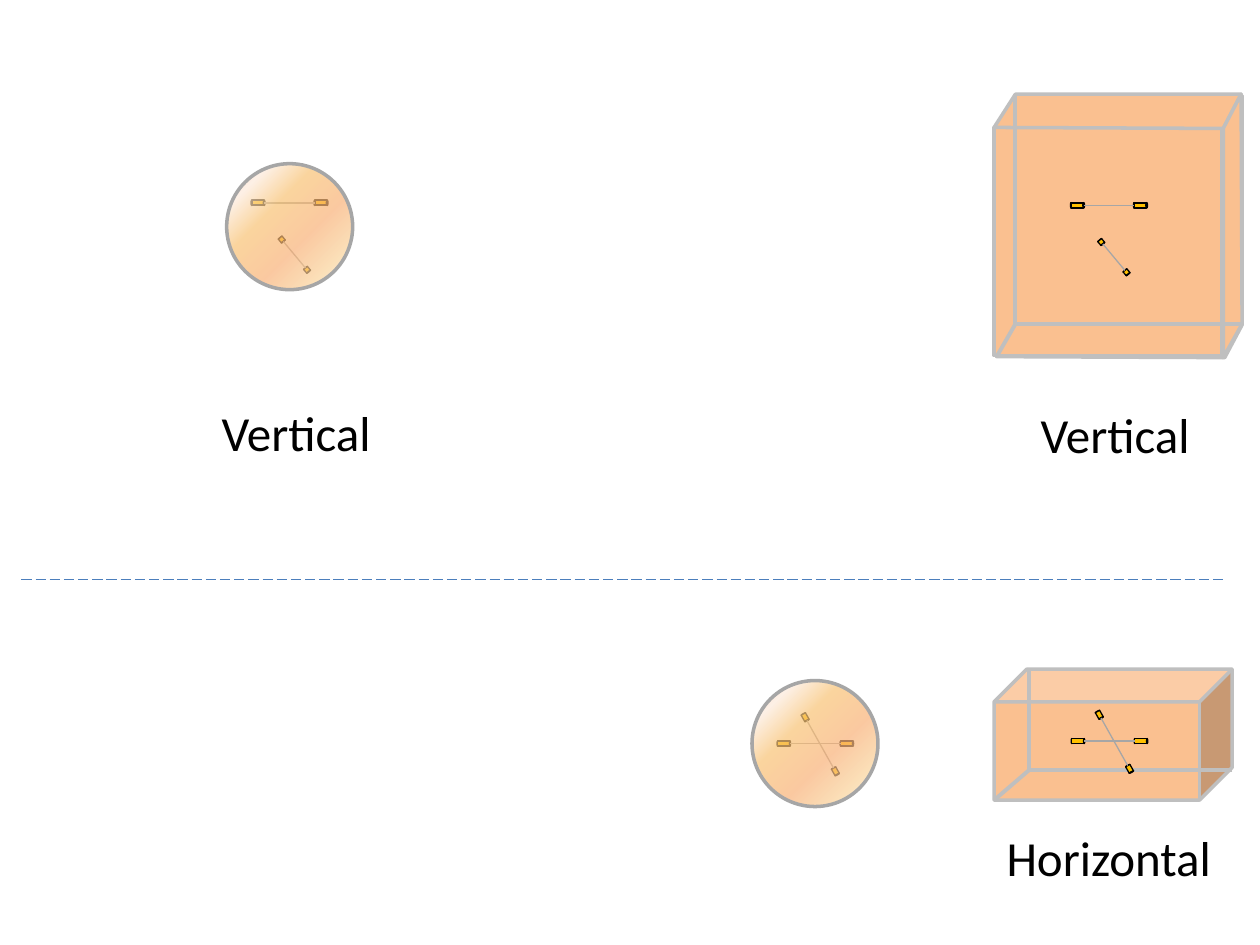
import math
from dataclasses import dataclass

import lxml.etree
import pptx
import pptx.dml.color
import pptx.enum.dml
import pptx.enum.shapes
import pptx.enum.text
import pptx.oxml
import pptx.oxml.ns
import pptx.util

Cm = pptx.util.Cm
SHAPE = pptx.enum.shapes.MSO_SHAPE


@dataclass(frozen=True)
class Theme:
    font: str = "Calibri"
    label_size: float = 28
    text: str = "000000"
    box_fill: str = "FAC090"
    box_edge: str = "BFBFBF"
    weight_fill: str = "FFC000"
    weight_edge: str = "000000"
    rod: str = "A6A6A6"
    sphere_edge: str = "A6A6A6"
    divider: str = "4B7EBC"
    sphere_alpha: int = 70
    sphere_stops: tuple = (
        (0, "FCD5B5"), (18, "FDEBDC"), (36, "FAC476"),
        (61, "F9B37A"), (82, "FBD49C"), (100, "FDEADA"),
    )


THEME = Theme()
CROSSED = ((0.43, -0.53), (1.04, 0.56))
PARALLEL = ((0.48, 0.74), (0.99, 1.35))


def rgb(color):
    return pptx.dml.color.RGBColor.from_string(color)


def style_line(line, color, width):
    line.color.rgb = rgb(color)
    line.width = pptx.util.Pt(width)


def style_shape(shape, fill, edge, width):
    shape.shadow.inherit = False
    if fill:
        shape.fill.solid()
        shape.fill.fore_color.rgb = rgb(fill)
    style_line(shape.line, edge, width)


def add_preset(shapes, kind, left, top, width, height, fill, edge, weight):
    shape = shapes.add_shape(kind, Cm(left), Cm(top), Cm(width), Cm(height))
    style_shape(shape, fill, edge, weight)
    return shape


def add_line(shapes, start, end, color, width, dash=None):
    connector = shapes.add_connector(
        pptx.enum.shapes.MSO_CONNECTOR.STRAIGHT, *map(Cm, (*start, *end)))
    style_line(connector.line, color, width)
    if dash:
        connector.line.dash_style = dash
    lxml.etree.SubElement(
        connector._element.spPr, pptx.oxml.ns.qn("a:effectLst"))


def add_face(shapes, points):
    corners = [(Cm(x), Cm(y)) for x, y in points]
    builder = shapes.build_freeform(*corners[0])
    builder.add_line_segments(corners[1:], close=True)
    style_shape(builder.convert_to_shape(), THEME.box_fill, THEME.box_edge, 2)


def add_dumbbell(shapes, start, end, length, width):
    angle = math.atan2(end[1] - start[1], end[0] - start[0])
    thickness = 0.1

    def along(point, distance):
        return (point[0] + distance * math.cos(angle),
                point[1] + distance * math.sin(angle))

    def add_part(kind, center, size):
        part = add_preset(
            shapes, kind, center[0] - size / 2, center[1] - thickness / 2,
            size, thickness, THEME.weight_fill, THEME.weight_edge, width)
        part.rotation = math.degrees(angle)

    for center in (start, end):
        add_part(SHAPE.OVAL, along(center, -length / 2), length / 10)
        add_part(SHAPE.RECTANGLE, center, length)
        add_part(SHAPE.OVAL, along(center, length / 2), length / 10)
    add_line(shapes, along(start, length / 2), along(end, -length / 2),
             THEME.rod, width)


def add_dumbbell_pair(slide, left, top, slanted, slanted_length, bar_width):
    group = slide.shapes.add_group_shape()
    add_dumbbell(group.shapes, (left, top), (left + 1.27, top), 0.25, bar_width)
    start, end = [(left + x, top + y) for x, y in slanted]
    add_dumbbell(group.shapes, start, end, slanted_length, 0.75)


def add_hidden_edges(slide, corner, *ends):
    for end in ends:
        add_line(slide.shapes, end, corner, THEME.box_edge, 2.25)


def add_sphere(slide, left, top):
    sphere = add_preset(slide.shapes, SHAPE.OVAL, left, top, 2.54, 2.54,
                        None, THEME.sphere_edge, 2)
    stops = "".join(
        f'<a:gs pos="{position * 1000}"><a:srgbClr val="{color}">'
        f'<a:alpha val="{THEME.sphere_alpha * 1000}"/></a:srgbClr></a:gs>'
        for position, color in THEME.sphere_stops)
    gradient = pptx.oxml.parse_xml(
        f'<a:gradFill {pptx.oxml.ns.nsdecls("a")} rotWithShape="1">'
        f'<a:gsLst>{stops}</a:gsLst><a:path path="circle">'
        '<a:fillToRect r="100000" b="100000"/></a:path></a:gradFill>')
    properties = sphere._element.spPr
    properties.find(pptx.oxml.ns.qn("a:ln")).addprevious(gradient)


def add_label(slide, text, *, left, top):
    box = slide.shapes.add_textbox(Cm(left), Cm(top), Cm(4.78), Cm(1.45))
    frame = box.text_frame
    frame.word_wrap = True
    frame.auto_size = pptx.enum.text.MSO_AUTO_SIZE.SHAPE_TO_FIT_TEXT
    paragraph = frame.paragraphs[0]
    paragraph.alignment = pptx.enum.text.PP_ALIGN.CENTER
    run = paragraph.add_run()
    run.text = text
    run.font.name = THEME.font
    run.font.size = pptx.util.Pt(THEME.label_size)
    run.font.color.rgb = rgb(THEME.text)


def add_tall_box(slide):
    shapes = slide.shapes
    add_face(shapes, [(20.09, 7.19), (20.5, 6.53), (25.04, 6.55), (24.69, 7.21)])
    for left, top in ((20.45, 1.93), (20.04, 2.57)):
        add_preset(shapes, SHAPE.RECTANGLE, left, top, 4.6, 4.6,
                   THEME.box_fill, THEME.box_edge, 2)
    add_face(shapes, [(20.04, 2.57), (20.47, 1.9), (25.02, 1.9), (24.66, 2.59)])
    add_face(shapes, [(24.66, 2.59), (25.02, 1.9), (25.04, 6.53), (24.66, 7.21)])
    add_dumbbell_pair(slide, 21.72, 4.14, PARALLEL, 0.1, 1)
    add_hidden_edges(slide, (20.47, 6.53),
                     (20.47, 1.9), (25.04, 6.53), (20.09, 7.19))


def add_flat_box(slide):
    add_preset(slide.shapes, SHAPE.CUBE, 20.04, 13.49, 4.8, 2.64,
               THEME.box_fill, THEME.box_edge, 2)
    add_hidden_edges(slide, (20.75, 15.52),
                     (20.75, 13.49), (24.84, 15.52), (20.04, 16.13))
    add_dumbbell_pair(slide, 21.73, 14.94, CROSSED, 0.15, 0.75)


def main():
    presentation = pptx.Presentation()
    presentation.slide_width = Cm(25.4)
    presentation.slide_height = Cm(19.05)
    slide = presentation.slides.add_slide(presentation.slide_layouts[6])

    add_tall_box(slide)
    add_flat_box(slide)
    add_line(slide.shapes, (0.43, 11.68), (24.66, 11.68), THEME.divider, 0.75,
             pptx.enum.dml.MSO_LINE.LONG_DASH)
    add_label(slide, "Vertical", left=20.09, top=8.03)
    add_label(slide, "Horizontal", left=19.96, top=16.56)
    add_label(slide, "Vertical", left=3.58, top=7.98)
    add_dumbbell_pair(slide, 5.2, 4.09, PARALLEL, 0.1, 1)
    add_sphere(slide, 4.57, 3.3)
    add_dumbbell_pair(slide, 15.8, 14.99, CROSSED, 0.15, 0.75)
    add_sphere(slide, 15.16, 13.72)

    presentation.save("out.pptx")


main()
